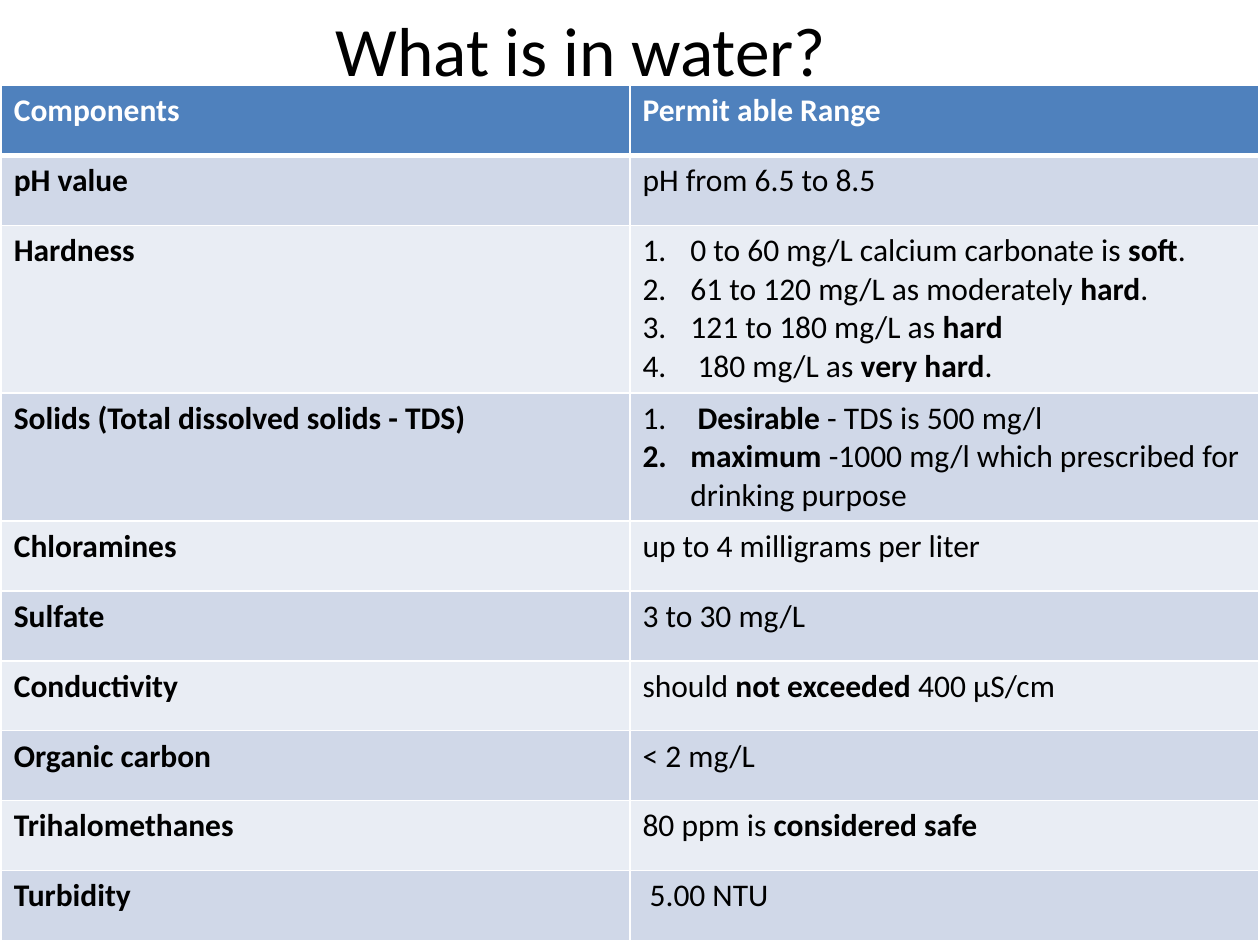
from lxml import etree
from pptx import Presentation, util as u
from pptx.dml.color import RGBColor
from pptx.enum import text as t
from pptx.oxml.ns import qn

# Content: **bold** marks strong words; a list becomes a numbered list
TITLE = "What is in water?"
ROWS = [
    ("**Components**", "**Permit able Range**"),
    ("**pH value**", "pH from 6.5 to 8.5"),
    ("**Hardness**", [
        "0 to 60 mg/L calcium carbonate is **soft**.",
        "61 to 120 mg/L as moderately **hard**.",
        "121 to 180 mg/L as **hard**",
        " 180 mg/L as **very hard**.",
    ]),
    ("**Solids (Total dissolved solids - TDS)**", [
        " **Desirable** - TDS is 500 mg/l",
        "**maximum **-1000 mg/l which prescribed for drinking purpose",
    ]),
    ("**Chloramines**", "up to 4 milligrams per liter"),
    ("**Sulfate**", "3 to 30 mg/L"),
    ("**Conductivity**", "should **not exceeded **400 μS/cm"),
    ("**Organic carbon**", "< 2 mg/L"),
    ("**Trihalomethanes**", "80 ppm is **considered safe**"),
    ("**Turbidity**", " 5.00 NTU"),
]
HEX = {"head": "4F81BD", "odd": "D0D8E8", "even": "E9EDF4",
       "line": "FFFFFF", "ink": "000000"}
FONT = "Calibri"
LEFT, TOP, WIDTH, HEIGHT = 0.01, 0.68, 9.98, 6.78
TALL = {2: 1.33, 3: 1.01}  # rows that hold lists
INDENT = u.Inches(0.38)


def write(para, words, size=18, color="ink", align=None):
    para.alignment = align
    for i, part in enumerate(words.split("**")):
        if part:
            run = para.add_run()
            run.text = part
            font = run.font
            font.name, font.size, font.bold = FONT, u.Pt(size), i % 2 == 1
            font.color.rgb = RGBColor.from_string(HEX[color])


def number(para):
    props = para._p.get_or_add_pPr()
    props.set("marL", str(INDENT))
    props.set("indent", str(-INDENT))
    etree.SubElement(props, qn("a:buFont"), typeface="+mj-lt")
    etree.SubElement(props, qn("a:buAutoNum"), type="arabicPeriod")


def border(cell, top=1, bottom=1):
    props = cell._tc.get_or_add_tcPr()
    sides = {"L": 1, "R": 1, "T": top, "B": bottom}
    for i, (side, wide) in enumerate(sides.items()):
        line = etree.Element(qn("a:ln" + side), w=str(u.Pt(wide)))
        fill = etree.SubElement(line, qn("a:solidFill"))
        etree.SubElement(fill, qn("a:srgbClr"), val=HEX["line"])
        props.insert(i, line)


def main():
    deck = Presentation()
    deck.slide_width, deck.slide_height = u.Inches(10), u.Inches(7.5)
    slide = deck.slides.add_slide(deck.slide_layouts[5])

    # Title
    title = slide.shapes.title
    title.left, title.top = u.Inches(0.51), u.Inches(0)
    title.width, title.height = u.Inches(8.2), u.Inches(0.77)
    frame = title.text_frame
    frame.auto_size = t.MSO_AUTO_SIZE.NONE
    frame.vertical_anchor = t.MSO_ANCHOR.MIDDLE
    write(frame.paragraphs[0], TITLE, size=39.6, align=t.PP_ALIGN.CENTER)

    # Table grid: plain rows share what the list rows leave
    box = map(u.Inches, (LEFT, TOP, WIDTH, HEIGHT))
    table = slide.shapes.add_table(len(ROWS), 2, *box).table
    table.horz_banding = False
    plain = (HEIGHT - sum(TALL.values())) / (len(ROWS) - len(TALL))
    for r, row in enumerate(table.rows):
        row.height = u.Inches(TALL.get(r, plain))

    # Cells
    for r, row in enumerate(ROWS):
        band = "head" if r == 0 else "odd" if r % 2 else "even"
        for c, words in enumerate(row):
            cell = table.cell(r, c)
            cell.fill.solid()
            cell.fill.fore_color.rgb = RGBColor.from_string(HEX[band])
            border(cell, top=3 if r == 1 else 1, bottom=3 if r == 0 else 1)
            listed = isinstance(words, list)
            for i, item in enumerate(words if listed else [words]):
                body = cell.text_frame
                para = body.add_paragraph() if i else body.paragraphs[0]
                write(para, item, color="ink" if r else "line")
                if listed:
                    number(para)

    deck.save("out.pptx")


if __name__ == "__main__":
    main()
